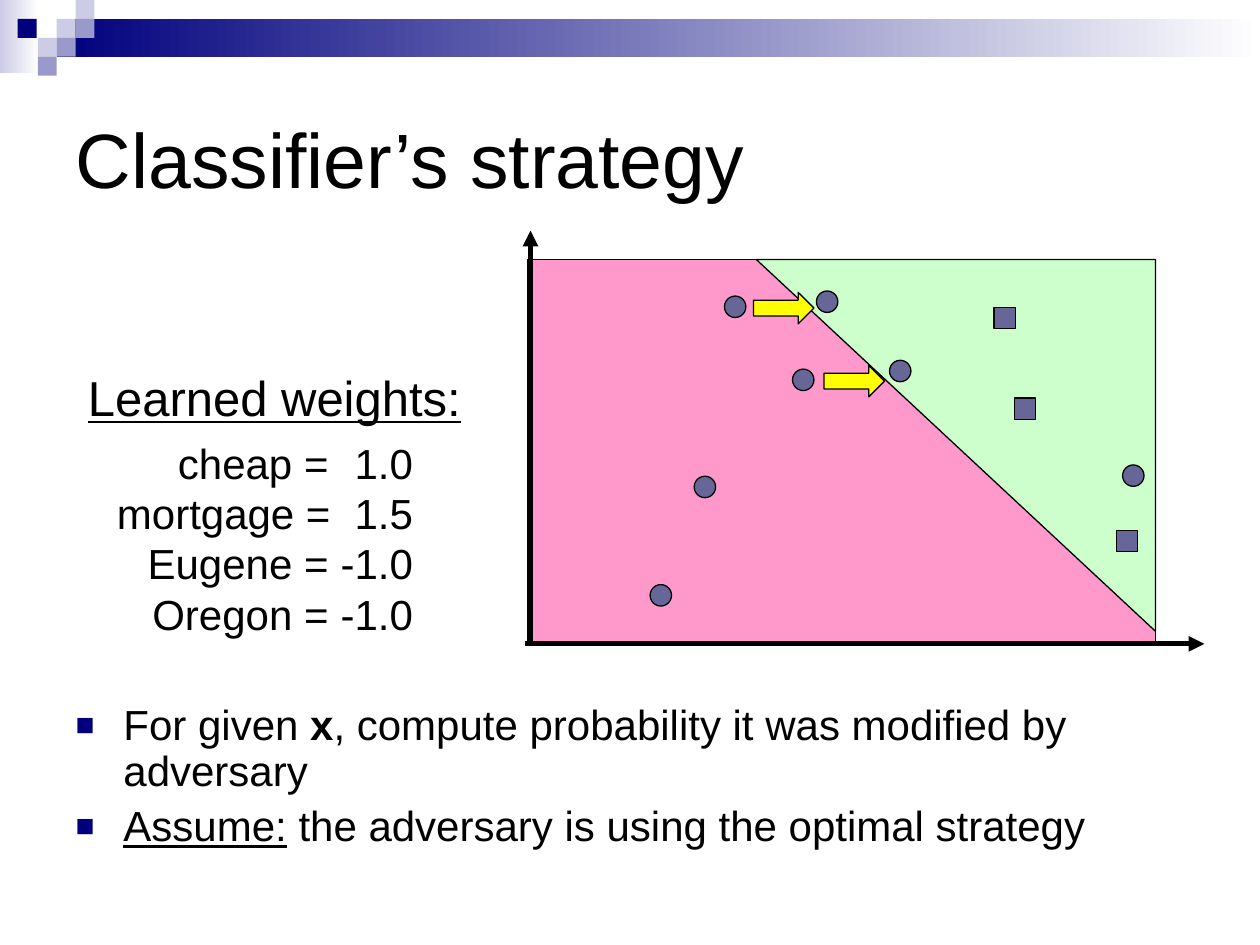
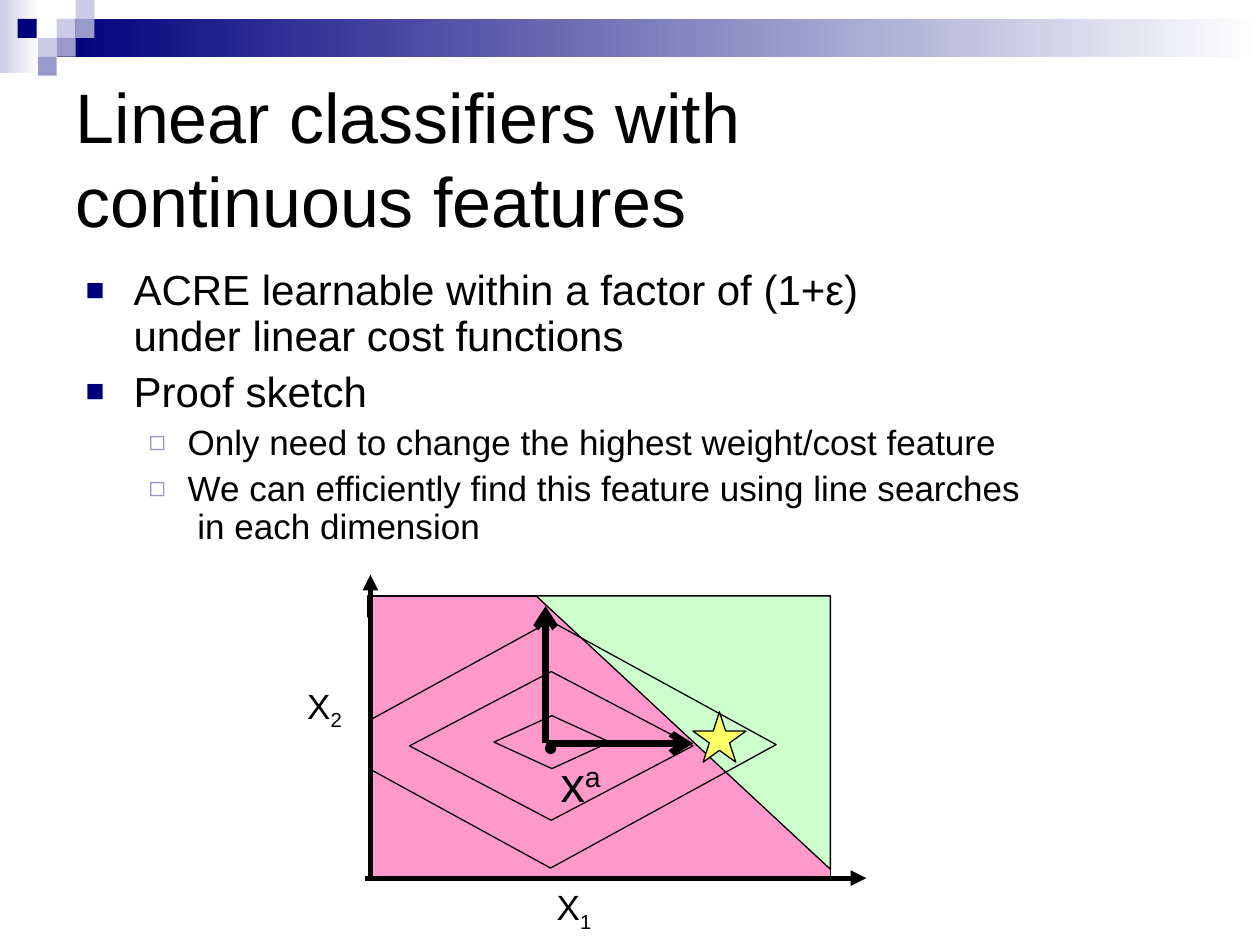
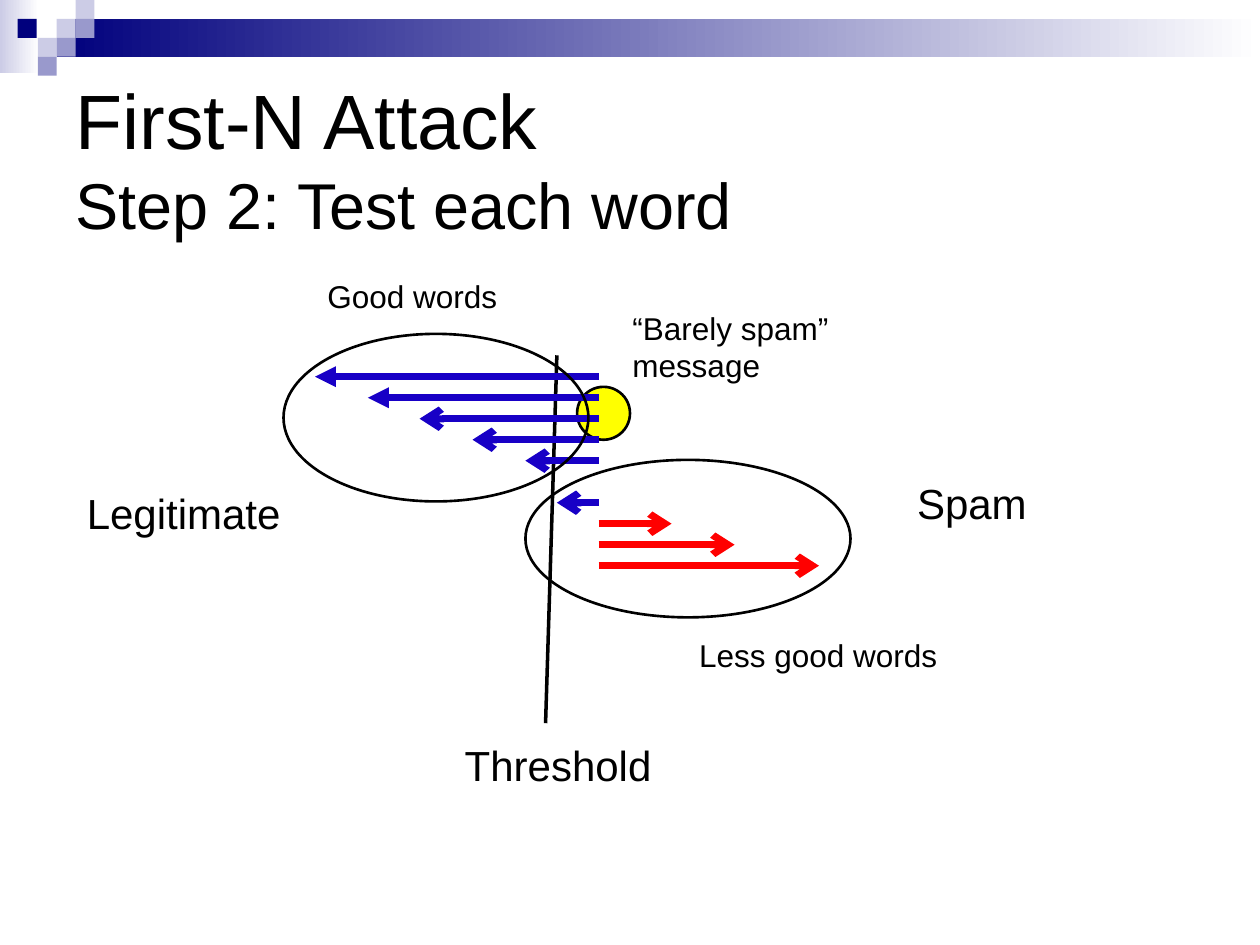
from lxml.etree import SubElement
from pptx import Presentation
from pptx.dml.color import RGBColor
from pptx.enum.shapes import MSO_CONNECTOR, MSO_SHAPE
from pptx.enum.text import MSO_ANCHOR, MSO_AUTO_SIZE, PP_ALIGN
from pptx.oxml.ns import qn
from pptx.util import Inches, Pt

# Shared style
FONT = "Arial"
BLACK, WHITE, NAVY, LILAC, PALE = "000000", "FFFFFF", "00007D", "9999CC", "CCCCE6"
PINK, GREEN, SLATE, YELLOW, STAR = "FF99CC", "CCFFCC", "666699", "FFFF00", "FFFF66"
BLUE, RED = "1800C6", "FF0000"
TITLE_ONLY, TITLE_AND_BODY = 5, 1

# Band at the top: gradients and small squares
GRADIENTS = [(0, 0, 0.31, 0.58, PALE), (0.45, 0.15, 9.55, 0.3, NAVY)]
SQUARE = 0.15
SQUARES = [(0.45, 0.15, PALE), (0.6, 0, PALE), (0.6, 0.15, LILAC), (0.3, 0.3, PALE),
           (0.14, 0.15, NAVY), (0.45, 0.3, LILAC), (0.3, 0.45, LILAC)]

# Bullet levels: character, colour, size %, text size, left margin, hanging, space before
LEVELS = [("■", NAVY, 75, 24, 0.38, 0.38, 6), ("◻", LILAC, 80, 20, 0.81, 0.31, 5)]

# Slide 1: classifier's strategy
STRATEGY_POINTS = [
    (0, ["For given ", ("x", {"bold": True}),
         ", compute probability it was modified by adversary"]),
    (0, [("Assume:", {"underline": True}), " the adversary is using the optimal strategy"]),
]
WEIGHTS = [("cheap", "1.0"), ("mortgage", "1.5"), ("Eugene", "-1.0"), ("Oregon", "-1.0")]
STRATEGY_PLANE = (4.19, 2.06, 4.98, 3.06)
MARK = 0.17
SPAM_MARKS = [(5.51, 3.78), (5.16, 4.64), (8.91, 3.69), (6.48, 2.31), (7.06, 2.86),
              (6.29, 2.93), (5.75, 2.35)]
GOOD_MARKS = [(7.89, 2.44), (8.05, 3.16), (8.86, 4.21)]
MOVES = [(5.98, 2.32), (6.54, 2.9)]

# Slide 2: linear classifiers
LINEAR_POINTS = [
    (0, ["ACRE learnable within a factor of (1+ε)\nunder linear cost functions"]),
    (0, ["Proof sketch"]),
    (1, ["Only need to change the highest weight/cost feature"]),
    (1, ["We can efficiently find this feature using line searches\n in each dimension"]),
]
LINEAR_PLANE = (2.92, 4.73, 3.67, 2.25)
OUTER_COST = (2.58, 4.93, 3.58, 1.96)
INNER_COSTS = [(3.92, 5.68, 0.92, 0.42), (3.25, 5.33, 2.25, 1.18)]
BASE_POINT = (4.33, 5.9)
SEARCH_ENDS = [(4.33, 4.81), (5.5, 5.9)]
SYMBOLS = [("X", "1", -25, 20, (4.32, 6.98, 0.6, 0.48)),
           ("X", "2", -25, 20, (2.34, 5.38, 0.6, 0.48)),
           ("x", "a", 30, 28, (4.35, 5.93, 0.65, 0.57))]

# Slide 3: first-N attack
WORD_START, FIRST_ROW, ROW_GAP = 4.75, 2.99, 1 / 6
WORDS = [(0, 2.5, BLUE, "triangle"), (1, 2.92, BLUE, "triangle"), (2, 3.33, BLUE, "arrow"),
         (3, 3.75, BLUE, "arrow"), (4, 4.17, BLUE, "arrow"), (6, 4.42, BLUE, "arrow"),
         (7, 5.33, RED, "arrow"), (8, 5.83, RED, "arrow"), (9, 6.5, RED, "arrow")]
WORD_GROUPS = [(2.25, 2.65, 2.42, 1.33), (4.17, 3.65, 2.58, 1.25)]
LABELS = [(["Threshold"], 24, (3.59, 5.82, 1.8, 0.5)),
          (["Legitimate"], 24, (0.59, 3.82, 1.85, 0.5)),
          (["Spam"], 24, (7.18, 3.74, 1.2, 0.5)),
          (["Good words"], 18, (2.5, 2.15, 1.7, 0.4)),
          (["“Barely spam”", "message"], 18, (4.92, 2.4, 1.95, 0.7)),
          (["Less good words"], 18, (5.45, 5, 2.25, 0.4))]


def colour(value):
    return RGBColor.from_string(value)


def place(shape, area):
    shape.left, shape.top, shape.width, shape.height = map(Inches, area)


def draw(page, kind, area, fill=None, line=BLACK, weight=0.75):
    shape = page.shapes.add_shape(kind, *map(Inches, area))
    shape.shadow.inherit = False
    if fill:
        shape.fill.solid()
        shape.fill.fore_color.rgb = colour(fill)
    else:
        shape.fill.background()
    if line:
        shape.line.color.rgb = colour(line)
        shape.line.width = Pt(weight)
    else:
        shape.line.fill.background()
    return shape


def connect(page, start, end, weight, head=None, line=BLACK):
    connector = page.shapes.add_connector(MSO_CONNECTOR.STRAIGHT, *map(Inches, start + end))
    connector.line.color.rgb = colour(line)
    connector.line.width = Pt(weight)
    if head:
        SubElement(connector.line._get_or_add_ln(), qn("a:tailEnd"), type=head)
    SubElement(connector._element.spPr, qn("a:effectLst"))


def set_font(para, size):
    para.font.name, para.font.size = FONT, Pt(size)
    para.font.color.rgb = colour(BLACK)


def add_spans(para, spans):
    for item in spans:
        text, marks = (item, {}) if isinstance(item, str) else item
        for number, part in enumerate(text.split("\n")):
            if number:
                para.add_line_break()
            if not part:
                continue
            span = para.add_run()
            span.text = part
            for name, value in marks.items():
                if name == "baseline":
                    span._r.get_or_add_rPr().set(name, str(value * 1000))
                else:
                    setattr(span.font, name, value)


def paragraphs(frame, items):
    """Yield one paragraph of the frame for each item."""
    for number, item in enumerate(items):
        yield (frame.add_paragraph() if number else frame.paragraphs[0]), item


def add_text(page, lines, size, area, tabs=()):
    box = page.shapes.add_textbox(*map(Inches, area))
    box.text_frame.word_wrap = True
    for para, spans in paragraphs(box.text_frame, lines):
        if tabs:
            stops = SubElement(para._p.get_or_add_pPr(), qn("a:tabLst"))
            for position in tabs:
                SubElement(stops, qn("a:tab"), pos=str(Inches(position)), algn="r")
        set_font(para, size)
        add_spans(para, spans)


def add_page(deck, layout, title, size):
    page = deck.slides.add_slide(deck.slide_layouts[layout])
    shape = page.shapes.title
    place(shape, (0.5, 0.5, 9, 1.5))
    frame = shape.text_frame
    frame.auto_size = MSO_AUTO_SIZE.NONE
    frame.vertical_anchor = MSO_ANCHOR.MIDDLE
    para = frame.paragraphs[0]
    para.alignment = PP_ALIGN.LEFT
    set_font(para, size)
    add_spans(para, title)
    return page


def fill_body(page, points, area):
    body = page.placeholders[1]
    place(body, area)
    body.text_frame.auto_size = MSO_AUTO_SIZE.NONE
    for para, (level, spans) in paragraphs(body.text_frame, points):
        char, tint, percent, size, margin, hanging, before = LEVELS[level]
        first = para._p is body.text_frame.paragraphs[0]._p
        para.level = level
        para.line_spacing = 0.9
        para.space_before = Pt(0 if first else before)
        properties = para._p.get_or_add_pPr()
        properties.set("marL", str(Inches(margin)))
        properties.set("indent", str(-Inches(hanging)))
        SubElement(SubElement(properties, qn("a:buClr")), qn("a:srgbClr"), val=tint)
        SubElement(properties, qn("a:buSzPct"), val=str(percent * 1000))
        SubElement(properties, qn("a:buChar"), char=char)
        set_font(para, size)
        add_spans(para, spans)


def add_band(deck, page):
    """Draw the band and move it to the master, behind its placeholders."""
    band = []
    for *area, start in GRADIENTS:
        shape = draw(page, MSO_SHAPE.RECTANGLE, area, WHITE, None)
        shape.fill.gradient()
        shape.fill.gradient_angle = 0
        for stop, value in zip(shape.fill.gradient_stops, (start, WHITE)):
            stop.color.rgb = colour(value)
        band.append(shape)
    for left, top, fill in SQUARES:
        area = (left, top, SQUARE, SQUARE)
        band.append(draw(page, MSO_SHAPE.RECTANGLE, area, fill, None))
    tree = deck.slide_master.shapes._spTree
    for number, shape in enumerate(band):
        tree.insert(2 + number, shape._element)


def add_regions(page, plane):
    left, top, width, height = plane
    draw(page, MSO_SHAPE.RECTANGLE, plane, PINK)
    across, down = 0.636 * width, 0.964 * height
    corner = (left + width - across, top, across, down)
    draw(page, MSO_SHAPE.RIGHT_TRIANGLE, corner, GREEN).rotation = 180


def add_axes(page, plane):
    left, top, width, height = plane
    base = top + height - 0.01
    connect(page, (left + 0.02, base), (left + 0.02, top - 0.075 * height), 3, "triangle")
    connect(page, (left - 0.02, base), (left + 1.078 * width, base), 3, "triangle")


def strategy_page(deck):
    page = add_page(deck, TITLE_AND_BODY, ["Classifier’s strategy"], 44)
    add_band(deck, page)
    fill_body(page, STRATEGY_POINTS, (0.5, 5.54, 9, 1.32))
    add_regions(page, STRATEGY_PLANE)
    add_axes(page, STRATEGY_PLANE)
    for kind, marks in ((MSO_SHAPE.OVAL, SPAM_MARKS), (MSO_SHAPE.RECTANGLE, GOOD_MARKS)):
        for left, top in marks:
            draw(page, kind, (left, top, MARK, MARK), SLATE)
    for left, top in MOVES:
        draw(page, MSO_SHAPE.RIGHT_ARROW, (left, top, 0.48, 0.25), YELLOW)
    add_text(page, [[("Learned weights:", {"underline": True})]], 28, (0.6, 2.87, 3.3, 0.57))
    lines = [[f"\t{word} =\t{weight}"] for word, weight in WEIGHTS]
    add_text(page, lines, 24, (0.83, 3.42, 2.7, 1.7), tabs=(1.68, 2.35))


def linear_page(deck):
    page = add_page(deck, TITLE_AND_BODY, ["Linear classifiers with\ncontinuous features"], 40)
    fill_body(page, LINEAR_POINTS, (0.58, 2.09, 9, 2.41))
    add_regions(page, LINEAR_PLANE)
    draw(page, MSO_SHAPE.DIAMOND, OUTER_COST)
    # White cover hides the part of the cost contour left of the axis
    draw(page, MSO_SHAPE.RECTANGLE, (2, 4.9, 0.92, 2.08), WHITE, None)
    add_axes(page, LINEAR_PLANE)
    for area in INNER_COSTS:
        draw(page, MSO_SHAPE.DIAMOND, area)
    for letter, index, baseline, size, area in SYMBOLS:
        add_text(page, [[letter, (index, {"baseline": baseline})]], size, area)
    draw(page, MSO_SHAPE.OVAL, BASE_POINT + (0.08, 0.08), BLACK)
    for end in SEARCH_ENDS:
        connect(page, BASE_POINT, end, 4, "arrow")
    draw(page, MSO_SHAPE.STAR_5_POINT, (5.5, 5.65, 0.42, 0.4), STAR)


def attack_page(deck):
    title = ["First-N Attack\n", ("Step 2: Test each word", {"size": Pt(37)})]
    page = add_page(deck, TITLE_ONLY, title, 44)
    connect(page, (4.42, 2.82), (4.33, 5.74), 2)
    draw(page, MSO_SHAPE.OVAL, (4.58, 3.07, 0.42, 0.42), YELLOW, weight=1.5)
    for row, end, line, head in WORDS:
        top = FIRST_ROW + row * ROW_GAP
        connect(page, (WORD_START, top), (end, top), 4, head, line)
    for area in WORD_GROUPS:
        draw(page, MSO_SHAPE.OVAL, area, weight=1.5)
    for lines, size, area in LABELS:
        add_text(page, [[line] for line in lines], size, area)


def main():
    deck = Presentation()
    deck.slide_width, deck.slide_height = Inches(10), Inches(7.5)
    strategy_page(deck)
    linear_page(deck)
    attack_page(deck)
    deck.save("out.pptx")


if __name__ == "__main__":
    main()
